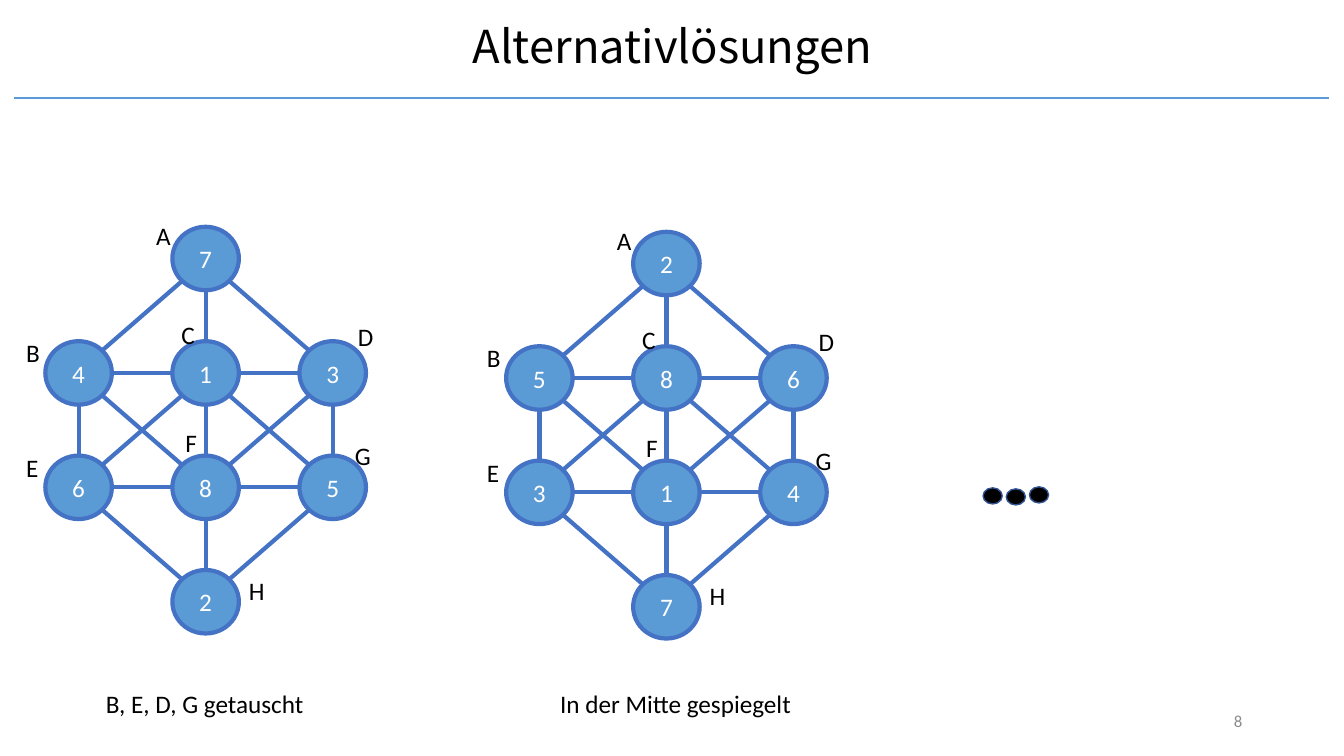
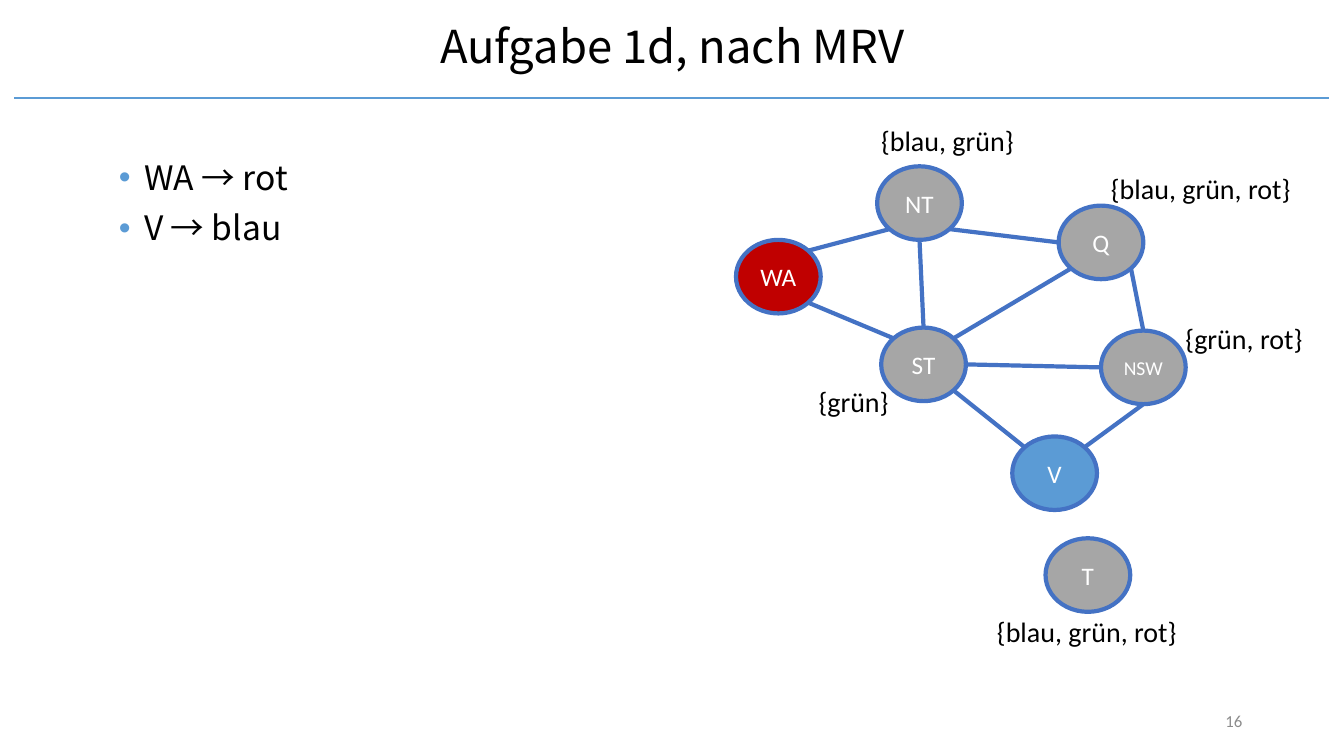
"""Build two slides on constraint graphs: number placement and map colouring."""
import itertools
import math

import lxml.etree
import pptx
import pptx.dml.color
import pptx.enum.shapes
import pptx.enum.text
import pptx.oxml.ns
import pptx.util

WIDTH, HEIGHT = 13.33, 7.5
BLUE, EDGE, RED, GRAY = "5B9BD5", "4472C4", "C00000", "A6A6A6"
BLACK, WHITE, FOOTER, DOT_EDGE = "000000", "FFFFFF", "8C8C8C", "325491"
ALIGN = pptx.enum.text.PP_ALIGN
ANCHOR = pptx.enum.text.MSO_ANCHOR
SHAPE = pptx.enum.shapes.MSO_SHAPE

HEADING = {"size": 32.4, "name": "Noto Sans CJK SC", "color": BLACK}
BULLET = {**HEADING, "size": 24}
LABEL = {"size": 18, "name": "Calibri", "color": BLACK}
DOMAIN = {**LABEL, "size": 20}
NODE = {**LABEL, "color": WHITE}
SMALL_NODE = {**NODE, "size": 14}
PAGE = {**LABEL, "size": 12, "color": FOOTER}

GRID = {"A": (1, 0), "B": (0, 1), "C": (1, 1), "D": (2, 1),
        "E": (0, 2), "F": (1, 2), "G": (2, 2), "H": (1, 3)}
LABEL_OFFSETS = {"A": (-0.26, -0.11), "B": (-0.29, -0.09), "C": (-0.01, -0.27),
                 "D": (0.48, -0.25), "E": (-0.29, -0.08), "F": (0.03, -0.33),
                 "G": (0.45, -0.2), "H": (0.66, 0)}
PITCH = (1.26, 1.135)
GRID_NODE = (0.66, 0.63)
SOLUTIONS = [
    {"origin": (0.45, 2.25), "values": "74136852",
     "caption": "B, E, D, G getauscht", "caption_box": (0.94, 6.78, 2.18, 0.4)},
    {"origin": (5.02, 2.3), "values": "25863147",
     "caption": "In der Mitte gespiegelt", "caption_box": (5.44, 6.78, 2.52, 0.4)},
]
DOTS = [(9.75, 4.84), (9.98, 4.85), (10.21, 4.83)]

MAP_NODE = (0.84, 0.73)
REGIONS = {
    "WA": (7.3, 2.38, RED), "NT": (8.7, 1.65, GRAY), "ST": (8.74, 3.25, GRAY),
    "Q": (10.5, 2.04, GRAY), "NSW": (10.92, 3.28, GRAY),
    "V": (10.04, 4.33, BLUE), "T": (10.37, 5.34, GRAY),
}
COMPASS = {"N": (0, -1), "NE": (1, -1), "E": (1, 0), "SE": (1, 1),
           "S": (0, 1), "SW": (-1, 1), "W": (-1, 0), "NW": (-1, -1)}
BORDERS = [
    ("WA", "NE", "NT", "SW"), ("NT", "SE", "Q", "W"), ("ST", "N", "NT", "S"),
    ("WA", "SE", "ST", "NW"), ("ST", "NE", "Q", "SW"), ("NSW", "N", "Q", "SE"),
    ("ST", "E", "NSW", "W"), ("ST", "SE", "V", "NW"), ("V", "NE", "NSW", "S"),
]
DOMAINS = [
    ("{grün}", 8.02, 3.77, 0.9), ("{blau, grün, rot}", 9.79, 6.05, 2),
    ("{grün, rot}", 11.66, 3.14, 1.37), ("{blau, grün, rot}", 10.92, 1.65, 2),
    ("{blau, grün}", 8.64, 1.18, 1.53),
]
ASSIGNMENTS = ["WA → rot", "V → blau"]


def rgb(value):
    return pptx.dml.color.RGBColor.from_string(value)


def inches(values):
    return [pptx.util.Inches(value) for value in values]


def write(paragraph, text, style, **layout):
    for name, value in layout.items():
        setattr(paragraph, name, value)
    run = paragraph.add_run()
    run.text = text
    values = {"size": pptx.util.Pt(style["size"]), "name": style["name"]}
    for name, value in values.items():
        setattr(run.font, name, value)
    run.font.color.rgb = rgb(style["color"])


def add_text(shapes, box, text, style, anchor=ANCHOR.TOP, wrap=False, **layout):
    frame = shapes.add_textbox(*inches(box)).text_frame
    frame.word_wrap = wrap
    frame.vertical_anchor = anchor
    write(frame.paragraphs[0], text, style, **layout)


def add_line(shapes, start, end, color=EDGE, width=3):
    line = shapes.add_connector(pptx.enum.shapes.MSO_CONNECTOR.STRAIGHT,
                                *inches((*start, *end)))
    line.line.color.rgb = rgb(color)
    line.line.width = pptx.util.Pt(width)
    properties = line._element.spPr
    lxml.etree.SubElement(properties, pptx.oxml.ns.qn("a:effectLst"))


def add_ellipse(shapes, box, fill, edge=EDGE, width=3):
    ellipse = shapes.add_shape(SHAPE.OVAL, *inches(box))
    ellipse.shadow.inherit = False
    ellipse.fill.solid()
    ellipse.fill.fore_color.rgb = rgb(fill)
    ellipse.line.color.rgb = rgb(edge)
    ellipse.line.width = pptx.util.Pt(width)
    return ellipse


def add_node(shapes, box, text, fill, style=NODE):
    frame = add_ellipse(shapes, box, fill).text_frame
    values = {"margin_left": 0, "margin_right": 0, "word_wrap": False,
              "vertical_anchor": ANCHOR.MIDDLE}
    for name, value in values.items():
        setattr(frame, name, value)
    write(frame.paragraphs[0], text, style, alignment=ALIGN.CENTER)


def rim_point(box, direction):
    left, top, width, height = box
    across, down = direction
    length = math.hypot(across, down)
    return (left + width / 2 * (1 + across / length),
            top + height / 2 * (1 + down / length))


def add_slide(presentation, title, number):
    slide = presentation.slides.add_slide(presentation.slide_layouts[6])
    add_line(slide.shapes, (0.14, 0.97), (13.18, 0.97), BLUE, 1.5)
    add_text(slide.shapes, (0.92, 0.17, 11.5, 0.63), title, HEADING, ANCHOR.MIDDLE,
             True, alignment=ALIGN.CENTER, line_spacing=0.9)
    add_text(slide.shapes, (9.42, 6.95, 3, 0.4), number, PAGE, ANCHOR.MIDDLE,
             True, alignment=ALIGN.RIGHT)
    return slide


def add_solution(slide, solution):
    shapes = slide.shapes.add_group_shape().shapes
    left, top = solution["origin"]
    boxes = {name: (left + column * PITCH[0], top + row * PITCH[1], *GRID_NODE)
             for name, (column, row) in GRID.items()}
    for first, second in itertools.combinations(GRID, 2):
        across, down = (b - a for a, b in zip(GRID[first], GRID[second]))
        if max(abs(across), abs(down)) == 1:
            add_line(shapes, rim_point(boxes[first], (across, down)),
                     rim_point(boxes[second], (-across, -down)))
    for (name, box), value in zip(boxes.items(), solution["values"]):
        add_node(shapes, box, value, BLUE)
    for name, (right, below) in LABEL_OFFSETS.items():
        label_box = (boxes[name][0] + right, boxes[name][1] + below, 0.35, 0.4)
        add_text(shapes, label_box, name, LABEL)
    add_text(slide.shapes, solution["caption_box"], solution["caption"], LABEL,
             alignment=ALIGN.CENTER)


def add_map(slide):
    shapes = slide.shapes.add_group_shape().shapes
    boxes = {name: (left, top, *MAP_NODE) for name, (left, top, _) in REGIONS.items()}
    for name, box in boxes.items():
        style = SMALL_NODE if len(name) > 2 else NODE
        add_node(shapes, box, name, REGIONS[name][2], style)
    for first, leaving, second, arriving in BORDERS:
        add_line(shapes, rim_point(boxes[first], COMPASS[leaving]),
                 rim_point(boxes[second], COMPASS[arriving]))
    for text, left, top, width in DOMAINS:
        add_text(slide.shapes, (left, top, width, 0.44), text, DOMAIN)


def add_bullets(slide, box, lines):
    frame = slide.shapes.add_textbox(*inches(box)).text_frame
    frame.word_wrap = True
    qn = pptx.oxml.ns.qn
    for index, text in enumerate(lines):
        paragraph = frame.add_paragraph() if index else frame.paragraphs[0]
        properties = paragraph._p.get_or_add_pPr()
        indent = pptx.util.Inches(0.25)
        properties.set("marL", str(indent))
        properties.set("indent", str(-indent))
        color = lxml.etree.SubElement(properties, qn("a:buClr"))
        lxml.etree.SubElement(color, qn("a:srgbClr"), val=BLUE)
        lxml.etree.SubElement(properties, qn("a:buFont"), typeface="Arial")
        lxml.etree.SubElement(properties, qn("a:buChar"), char="•")
        write(paragraph, text, BULLET, line_spacing=0.9,
              space_before=pptx.util.Pt(10 if index else 0))


def main():
    presentation = pptx.Presentation()
    presentation.slide_width, presentation.slide_height = inches((WIDTH, HEIGHT))

    alternatives = add_slide(presentation, "Alternativlösungen", "8")
    for solution in SOLUTIONS:
        add_solution(alternatives, solution)
    for left, top in DOTS:
        add_ellipse(alternatives.shapes, (left, top, 0.19, 0.16), BLACK, DOT_EDGE, 1)

    colouring = add_slide(presentation, "Aufgabe 1d, nach MRV", "16")
    add_map(colouring)
    add_bullets(colouring, (1.08, 1.55, 5.35, 5.37), ASSIGNMENTS)

    presentation.save("out.pptx")


if __name__ == "__main__":
    main()
